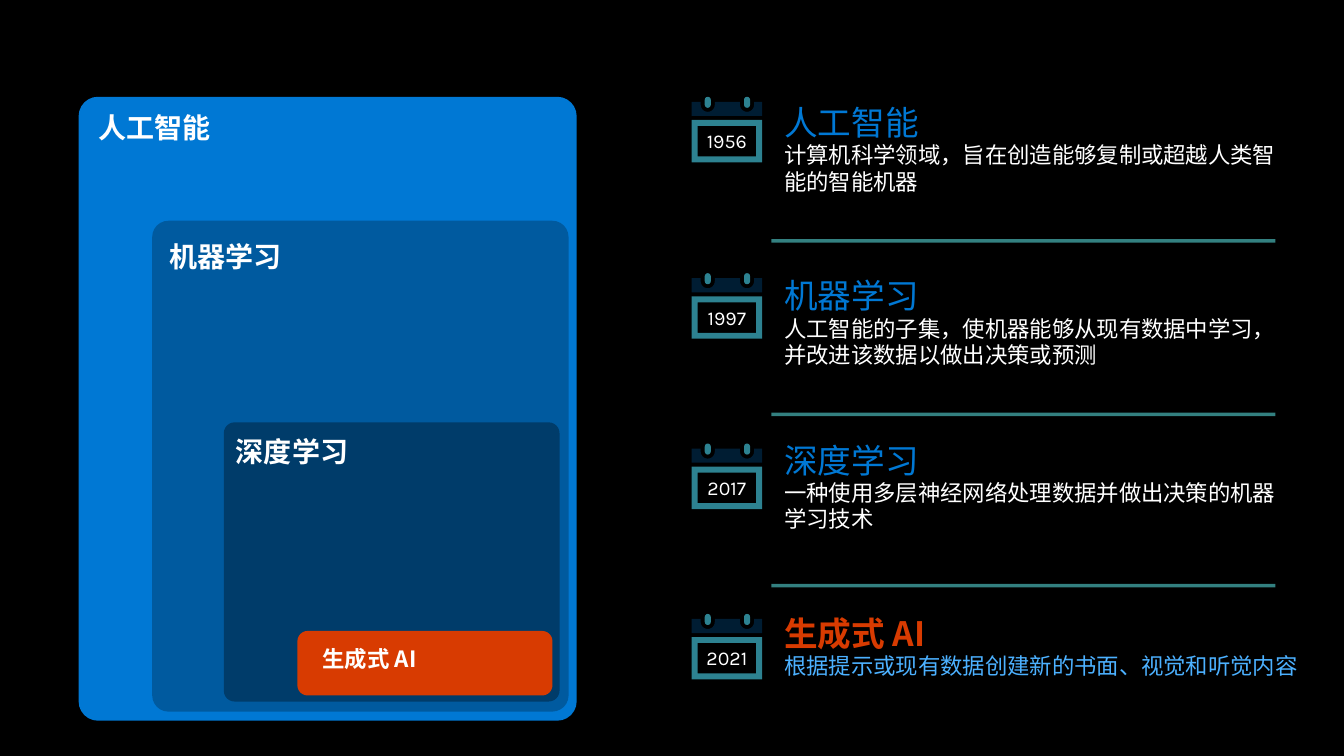
from math import cos, pi, sin

from lxml.etree import SubElement
from pptx import Presentation
from pptx.dml.color import RGBColor
from pptx.enum.shapes import MSO_CONNECTOR, MSO_SHAPE
from pptx.enum.text import MSO_ANCHOR, PP_ALIGN
from pptx.oxml.ns import qn
from pptx.util import Inches, Pt

BLACK = RGBColor(0x00, 0x00, 0x00)
WHITE = RGBColor(0xFF, 0xFF, 0xFF)
BLUE = RGBColor(0x00, 0x78, 0xD4)
MID = RGBColor(0x00, 0x5A, 0x9F)
DEEP = RGBColor(0x00, 0x3C, 0x6A)
NAVY = RGBColor(0x00, 0x1D, 0x33)
SKY = RGBColor(0x4C, 0xB1, 0xFF)
ORANGE = RGBColor(0xD8, 0x3B, 0x01)
CYAN = RGBColor(0x50, 0xE6, 0xFF)
AQUA = RGBColor(0x66, 0xFF, 0xFF)

HAN = "Noto Sans CJK SC"
LATIN = "Karla"
LEADING = 1.17  # line height per point of type

# Box, corner, fill, label, label offset, label size
NEST = [
    ((0.78, 0.96, 4.94, 6.19), 0.039, BLUE, "人工智能", (0.2, 0.11), 20),
    ((1.51, 2.19, 4.13, 4.87), 0.039, MID, "机器学习", (0.17, 0.16), 20),
    ((2.22, 4.19, 3.33, 2.77), 0.039, DEEP, "深度学习", (0.12, 0.1), 20),
    ((2.95, 6.26, 2.53, 0.64), 0.159, ORANGE, "生成式 AI", (0.25, 0.12), 16),
]

# Calendar top, text top, text width, year, title, detail, colours, bold
EVENTS = [
    (0.96, 0.94, 5.16, "1956", "人工智能",
     "计算机科学领域，旨在创造能够复制或超越人类智能的智能机器", BLUE, WHITE, False),
    (2.71, 2.66, 5.16, "1997", "机器学习",
     "人工智能的子集，使机器能够从现有数据中学习，并改进该数据以做出决策或预测",
     BLUE, WHITE, False),
    (4.4, 4.29, 5.16, "2017", "深度学习",
     "一种使用多层神经网络处理数据并做出决策的机器学习技术", BLUE, WHITE, False),
    (6.09, 6.01, 5.33, "2021", "生成式 AI",
     "根据提示或现有数据创建新的书面、视觉和听觉内容", ORANGE, SKY, True),
]
RULES = [2.39, 4.11, 5.81]


def fade(fill, percent):
    """Make a solid fill or line colour partly transparent."""
    color = next(fill.iter(qn("a:srgbClr")))
    SubElement(color, qn("a:alpha"), val=str(percent * 1000))


def paint(shape, color, alpha=None):
    shape.shadow.inherit = False
    shape.fill.solid()
    shape.fill.fore_color.rgb = color
    shape.line.fill.background()
    if alpha:
        fade(shape._element.spPr, alpha)


def write(para, text, size, color, bold=False, font=HAN):
    run = para.add_run()
    run.text = text
    run.font.size = Pt(size)
    run.font.bold = bold
    run.font.color.rgb = color
    run.font.name = font
    SubElement(run._r.get_or_add_rPr(), qn("a:ea"), typeface=font)
    para.line_spacing = Pt(round(size * LEADING, 1))


def text_box(shapes, box, side, top):
    frame = shapes.add_textbox(*map(Inches, box)).text_frame
    frame.word_wrap = True
    frame.margin_left = frame.margin_right = Inches(side)
    frame.margin_top, frame.margin_bottom = Inches(top), 0
    return frame


def nested(shapes, box, corner, color, label, shift, size):
    """One rounded layer with its label near the top left."""
    layer = shapes.add_shape(MSO_SHAPE.ROUNDED_RECTANGLE, *map(Inches, box))
    layer.adjustments[0] = corner
    paint(layer, color)
    left, top, width, _ = box
    dx, dy = shift
    area = (left + dx, top + dy, width - dx - 0.1, size * 0.017)
    frame = text_box(shapes, area, 0, 0.03)
    write(frame.paragraphs[0], label, size, WHITE, True)


def calendar(shapes, left, top, year):
    """Calendar icon: notched strip, two rings and a framed year."""
    parts = shapes.add_group_shape().shapes
    width, strip, notch = 0.7, 0.05, 0.07
    rings = [left + 0.16, left + 0.55]

    # Strip
    points = []
    for mid in rings:
        points.append((mid - notch, top + strip))
        for step in range(13):
            turn = pi * step / 12
            points.append((mid - notch * cos(turn),
                           top + 0.08 + notch * sin(turn)))
        points.append((mid + notch, top + strip))
    points += [(left + width, top + strip), (left + width, top + 0.19),
               (left, top + 0.19)]
    pen = parts.build_freeform(Inches(left), Inches(top + strip))
    pen.add_line_segments([(Inches(x), Inches(y)) for x, y in points])
    paint(pen.convert_to_shape(), NAVY)

    # Rings
    for mid in rings:
        ring = parts.add_shape(MSO_SHAPE.ROUNDED_RECTANGLE, Inches(mid - 0.03),
                               Inches(top), Inches(0.06), Inches(0.11))
        ring.adjustments[0] = 0.5
        paint(ring, CYAN, 57)

    # Year
    page = parts.add_shape(MSO_SHAPE.FRAME, Inches(left), Inches(top + 0.23),
                           Inches(width), Inches(0.42))
    page.adjustments[0] = 0.14
    paint(page, CYAN, 57)
    frame = page.text_frame
    frame.word_wrap = False
    frame.margin_left = frame.margin_right = 0
    frame.margin_top = frame.margin_bottom = 0
    frame.vertical_anchor = MSO_ANCHOR.MIDDLE
    para = frame.paragraphs[0]
    para.alignment = PP_ALIGN.CENTER
    write(para, year, 14, WHITE, font=LATIN)


def event(shapes, box, title, detail, head, body, bold):
    """Title and explanation beside a calendar."""
    frame = text_box(shapes, box, 0.1, 0.08)
    write(frame.paragraphs[0], title, 24, head, bold)
    write(frame.add_paragraph(), detail, 16, body)


def rule(shapes, left, top, width):
    line = shapes.add_connector(MSO_CONNECTOR.STRAIGHT, Inches(left),
                                Inches(top), Inches(left + width), Inches(top))
    line.line.width = Pt(2.5)
    line.line.color.rgb = AQUA
    fade(line._element.spPr, 50)
    SubElement(line._element.spPr, qn("a:effectLst"))


def main():
    deck = Presentation()
    deck.slide_width, deck.slide_height = Inches(13.33), Inches(7.5)
    slide = deck.slides.add_slide(deck.slide_layouts[6])
    slide.background.fill.solid()
    slide.background.fill.fore_color.rgb = BLACK
    shapes = slide.shapes

    # Nested fields
    for layer in NEST:
        nested(shapes, *layer)

    # Timeline
    for icon, top, width, year, *words in EVENTS:
        calendar(shapes, 6.86, icon, year)
        event(shapes, (7.68, top, width, 0.88), *words)
    for top in RULES:
        rule(shapes, 7.65, top, 5)

    deck.save("out.pptx")


if __name__ == "__main__":
    main()
